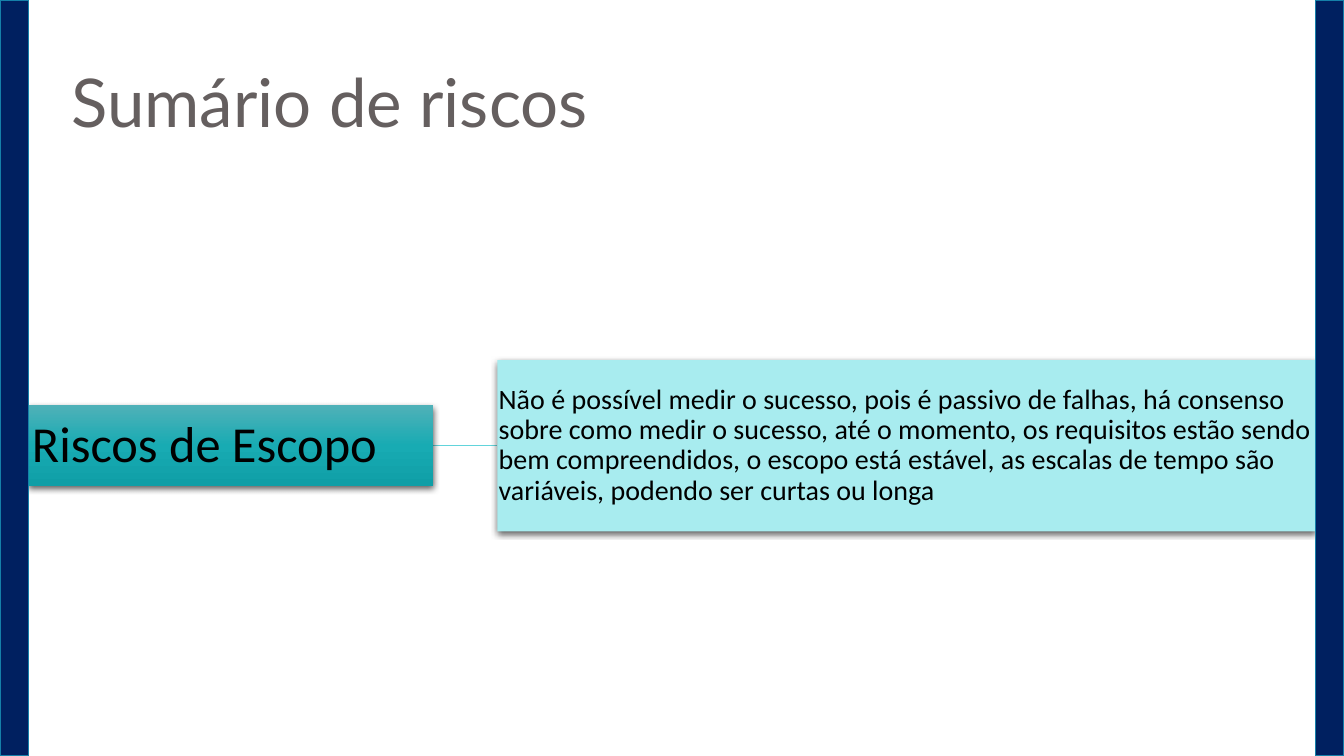
from copy import deepcopy

from lxml.etree import SubElement
from pptx import Presentation
from pptx.dml.color import RGBColor
from pptx.enum.shapes import MSO_CONNECTOR, MSO_SHAPE
from pptx.enum.text import MSO_ANCHOR, PP_ALIGN
from pptx.oxml.ns import qn
from pptx.util import Pt

NAVY = RGBColor(0x00, 0x20, 0x60)
BAR_OUTLINE = RGBColor(0x15, 0x80, 0xA9)
CONNECTOR_TEAL = RGBColor(0x62, 0xD4, 0xDB)
PALE_TEAL = RGBColor(0xA8, 0xEC, 0xEF)
TEAL_LIGHT = RGBColor(0x4F, 0xB1, 0xB8)
TEAL_MIDDLE = RGBColor(0x18, 0xAB, 0xB3)
TEAL_DARK = RGBColor(0x0F, 0x9E, 0xA6)
TITLE_GRAY = RGBColor(0x65, 0x5F, 0x5F)
BLACK = RGBColor(0x00, 0x00, 0x00)

SLIDE_WIDTH, SLIDE_HEIGHT = 960, 540
BAR_WIDTH = 20.3
MIDDLE = 318.4


def write_text(shape, text, *, size, font, color, anchor, inset=None):
    frame = shape.text_frame
    frame.word_wrap = True
    frame.vertical_anchor = anchor
    if inset is not None:
        frame.margin_left = frame.margin_right = Pt(inset)
        frame.margin_top = frame.margin_bottom = Pt(inset)
    paragraph = frame.paragraphs[0]
    paragraph.alignment = PP_ALIGN.LEFT
    paragraph.line_spacing = 0.9
    run = paragraph.add_run()
    run.text = text
    run.font.size = Pt(size)
    run.font.name = font
    run.font.color.rgb = color


presentation = Presentation()
presentation.slide_width = Pt(SLIDE_WIDTH)
presentation.slide_height = Pt(SLIDE_HEIGHT)
slide = presentation.slides.add_slide(presentation.slide_layouts[6])

connector = slide.shapes.add_connector(
    MSO_CONNECTOR.STRAIGHT, Pt(309.3), Pt(MIDDLE), Pt(355.3), Pt(MIDDLE))
connector.line.color.rgb = CONNECTOR_TEAL
connector.line.width = Pt(1)
SubElement(connector.element.spPr, qn("a:effectLst"))

risk_boxes = []
for left, width, height, text, size, inset in [
    (20.6, 288.7, 57.8, "Riscos de Escopo", 36, 2.2),
    (355.3, 583.9, 122.4,
     "Não é possível medir o sucesso, pois é passivo de falhas, há consenso "
     "sobre como medir o sucesso, até o momento, os requisitos estão sendo "
     "bem compreendidos, o escopo está estável, as escalas de tempo são "
     "variáveis, podendo ser curtas ou longa", 20, 0.9),
]:
    box = slide.shapes.add_shape(
        MSO_SHAPE.RECTANGLE, Pt(left), Pt(MIDDLE - height / 2), Pt(width), Pt(height))
    box.fill.solid()
    box.fill.fore_color.rgb = PALE_TEAL
    box.line.fill.background()
    box.shadow.inherit = False
    effects = box.element.spPr.find(qn("a:effectLst"))
    shadow = SubElement(effects, qn("a:outerShdw"), blurRad=str(Pt(4.5)),
                        dist=str(Pt(1.5)), dir="5400000", algn="ctr", rotWithShape="0")
    shadow_color = SubElement(shadow, qn("a:srgbClr"), val=str(BLACK))
    SubElement(shadow_color, qn("a:alpha"), val="63000")
    write_text(box, text, size=size, font="Calibri", color=BLACK,
               anchor=MSO_ANCHOR.MIDDLE, inset=inset)
    risk_boxes.append(box)

category_box = risk_boxes[0]
category_box.fill.gradient()
category_box.fill.gradient_angle = 270
stop_list = category_box.element.spPr.find(qn("a:gradFill")).find(qn("a:gsLst"))
stop_list.append(deepcopy(stop_list[-1]))
gradient_colors = [TEAL_LIGHT, TEAL_MIDDLE, TEAL_DARK]
for index, (stop, color) in enumerate(zip(category_box.fill.gradient_stops, gradient_colors)):
    stop.position = index / 2
    stop.color.rgb = color

title = slide.shapes.add_textbox(Pt(43.9), Pt(29.5), Pt(711.4), Pt(75.6))
write_text(title, "Sumário de riscos", size=48, font="Lato", color=TITLE_GRAY,
           anchor=MSO_ANCHOR.BOTTOM)

for left in (0, SLIDE_WIDTH - BAR_WIDTH):
    side_bar = slide.shapes.add_shape(
        MSO_SHAPE.RECTANGLE, Pt(left), Pt(0), Pt(BAR_WIDTH), Pt(SLIDE_HEIGHT))
    side_bar.fill.solid()
    side_bar.fill.fore_color.rgb = NAVY
    side_bar.line.color.rgb = BAR_OUTLINE
    side_bar.line.width = Pt(1)
    side_bar.shadow.inherit = False

presentation.save("out.pptx")
